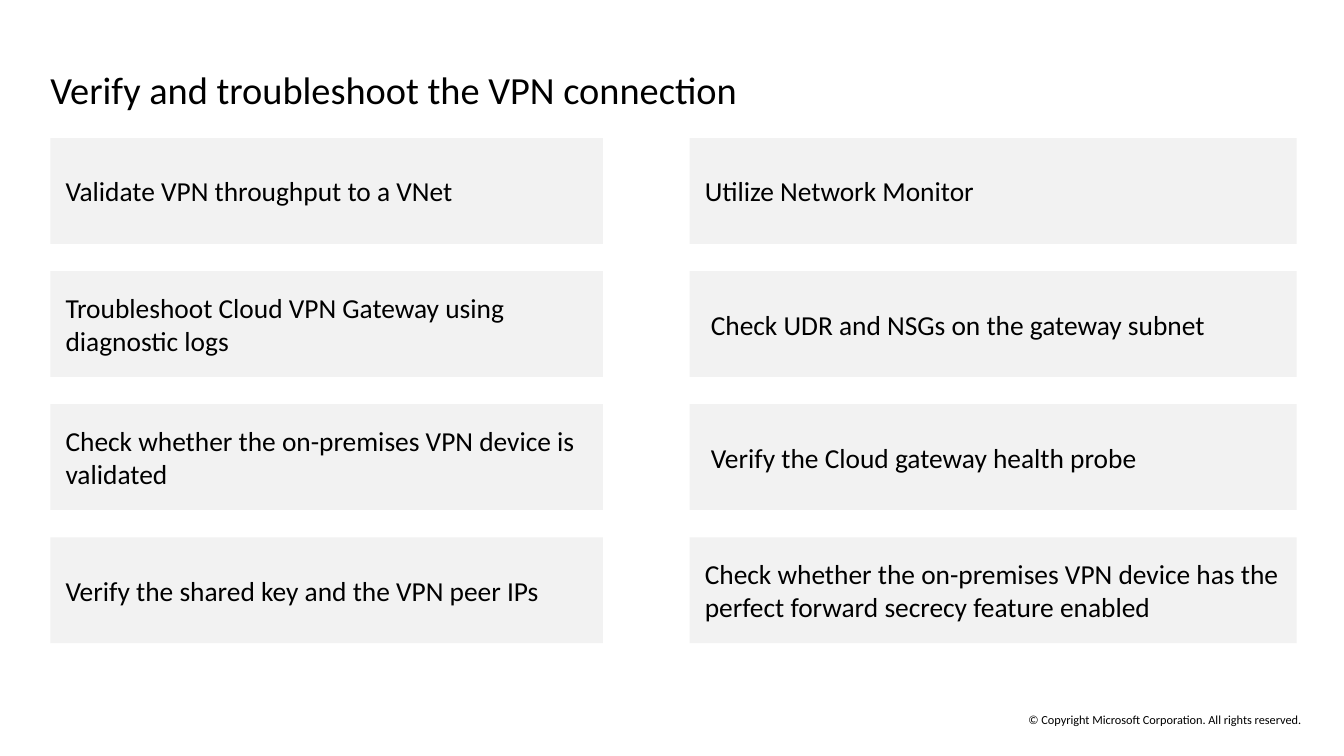
"""Build the slide of checks for a VPN connection."""
from dataclasses import dataclass

from pptx import Presentation
from pptx.dml.color import RGBColor
from pptx.enum.shapes import MSO_SHAPE
from pptx.enum.text import MSO_ANCHOR, PP_ALIGN
from pptx.shapes.autoshape import Shape
from pptx.util import Inches, Pt

RECT = MSO_SHAPE.RECTANGLE
MIDDLE = MSO_ANCHOR.MIDDLE
LEFT = PP_ALIGN.LEFT
CENTER = PP_ALIGN.CENTER

WIDE, HIGH = 13.33, 7.5
TOP, PITCH, TALL = 1.37, 1.32, 1.05


@dataclass(frozen=True)
class Theme:
    font: str = "Calibri"
    ink: RGBColor = RGBColor(0, 0, 0)
    panel: RGBColor = RGBColor(0xF2, 0xF2, 0xF2)
    title: float = 27.4
    body: float = 19.6
    note: float = 8.8


@dataclass(frozen=True)
class Area:
    left: float
    top: float
    width: float
    height: float

    def spans(self) -> list[int]:
        return [Inches(n) for n in (self.left, self.top, self.width, self.height)]


@dataclass(frozen=True)
class Check:
    text: str
    indent: float = 0


@dataclass(frozen=True)
class Column:
    left: float
    width: float
    checks: tuple[Check, ...]


THEME = Theme()
COLUMNS = (
    Column(0.5, 5.48, (
        Check("Validate VPN throughput to a VNet"),
        Check("Troubleshoot Cloud VPN Gateway using diagnostic logs"),
        Check("Check whether the on-premises VPN device is validated"),
        Check("Verify the shared key and the VPN peer IPs"),
    )),
    Column(6.84, 6.02, (
        Check("Utilize Network Monitor"),
        Check("Check UDR and NSGs on the gateway subnet", 0.06),
        Check("Verify the Cloud gateway health probe", 0.06),
        Check("Check whether the on-premises VPN device has the "
              "perfect forward secrecy feature enabled"),
    )),
)


def apply(target: object, values: dict[str, object]) -> None:
    for name, value in values.items():
        setattr(target, name, value)


def write(shape: Shape, text: str, size: float, align: PP_ALIGN = LEFT,
          side: float = 0, edge: float = 0, indent: float = 0) -> None:
    frame = shape.text_frame
    apply(frame, {
        "word_wrap": True,
        "vertical_anchor": MIDDLE,
        "margin_left": Inches(side + indent),
        "margin_right": Inches(side),
        "margin_top": Inches(edge),
        "margin_bottom": Inches(edge),
    })
    line = frame.paragraphs[0]
    line.text = text
    line.alignment = align
    apply(line.font, {"name": THEME.font, "size": Pt(size)})
    line.font.color.rgb = THEME.ink


def main() -> None:
    deck = Presentation()
    apply(deck, {"slide_width": Inches(WIDE), "slide_height": Inches(HIGH)})
    shapes = deck.slides.add_slide(deck.slide_layouts[6]).shapes

    note = shapes.add_textbox(*Area(9.78, 7.06, 3.55, 0.15).spans())
    write(note, "© Copyright Microsoft Corporation. All rights reserved.",
          THEME.note, CENTER)

    title = shapes.add_textbox(*Area(0.5, 0.68, 12.36, 0.43).spans())
    write(title, "Verify and troubleshoot the VPN connection", THEME.title)
    title.text_frame.paragraphs[0].line_spacing = Pt(31.4)

    for column in COLUMNS:
        for row, check in enumerate(column.checks):
            area = Area(column.left, TOP + row * PITCH, column.width, TALL)
            panel = shapes.add_shape(RECT, *area.spans())
            panel.shadow.inherit = False
            panel.fill.solid()
            panel.fill.fore_color.rgb = THEME.panel
            panel.line.fill.background()
            write(panel, check.text, THEME.body, side=0.15, edge=0.1,
                  indent=check.indent)

    deck.save("out.pptx")


if __name__ == "__main__":
    main()
